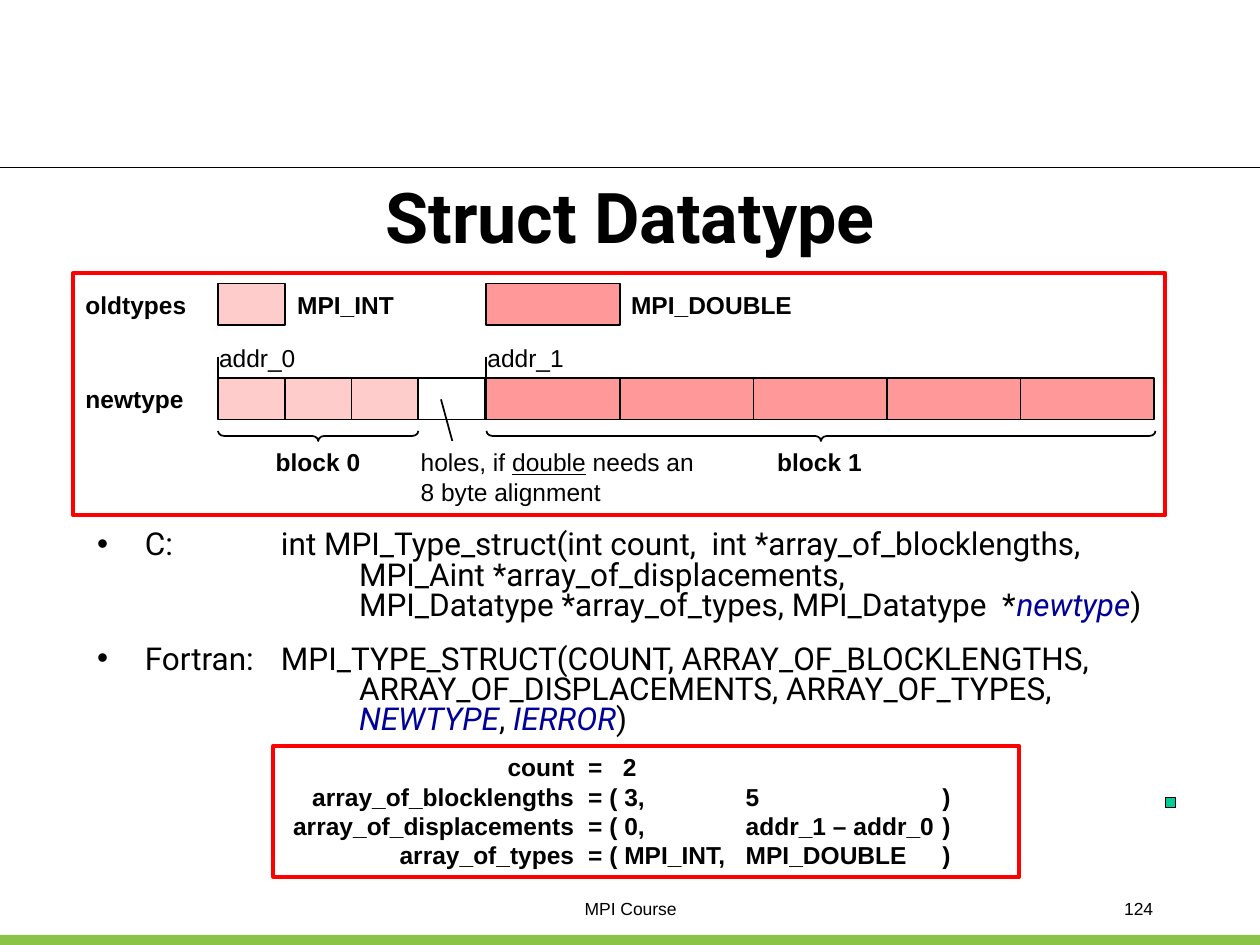
"""Build the Struct Datatype slide of an MPI course."""
from lxml import etree
from pptx import Presentation
from pptx import util as u
from pptx.dml.color import RGBColor
from pptx.enum import shapes, text
from pptx.oxml.ns import qn

rgb = RGBColor.from_string
I = u.Inches
AL = text.PP_ALIGN
SHAPE = shapes.MSO_SHAPE


def draw(kind, at, fill=None, line=None, width=1):
    sp = s.shapes.add_shape(kind, *map(I, at))
    sp.shadow.inherit = False
    if fill:
        sp.fill.solid()
        sp.fill.fore_color.rgb = rgb(fill)
    else:
        sp.fill.background()
    if line:
        sp.line.color.rgb = rgb(line)
        sp.line.width = u.Pt(width)
    else:
        sp.line.fill.background()
    return sp


def write(p, runs, size, name="Arial", tabs=(), **base):
    if tabs:
        lst = etree.SubElement(p._p.get_or_add_pPr(), qn("a:tabLst"))
        for pos, algn in tabs:
            etree.SubElement(lst, qn("a:tab"), pos=str(I(pos)), algn=algn)
    for words, extra in runs:
        for i, part in enumerate(words.split("\n")):
            if i:
                p.add_line_break()
            r = p.add_run()
            r.text = part
            fmt = {"size": u.Pt(size), "name": name, **base, **extra}
            r.font.color.rgb = rgb(fmt.pop("color", "000000"))
            for key, value in fmt.items():
                setattr(r.font, key, value)


prs = Presentation()
prs.slide_width, prs.slide_height = I(10), I(7.5)
s = prs.slides.add_slide(prs.slide_layouts[1])
title, body = s.placeholders[0], s.placeholders[1]

draw(SHAPE.RECTANGLE, (0, 7.42, 10, 0.08), "89C448")

for ph, at in ((title, (0.75, 1.42, 8.5, 0.58)), (body, (0.67, 4.17, 8.85, 1.75))):
    ph.left, ph.top, ph.width, ph.height = map(I, at)
    ph.text_frame.auto_size = text.MSO_AUTO_SIZE.NONE
title.text_frame.vertical_anchor = text.MSO_ANCHOR.MIDDLE
p = title.text_frame.paragraphs[0]
p.alignment = AL.CENTER
write(p, [("Struct Datatype", {})], 40, "Roboto", bold=True)

left, row, cell, height = 1.73, 3, 0.53, 0.33
double_left, double = 3.86, 1.06
pink, rose = "FFCCCC", "FF9999"
cells = [(left, 2.25, cell, pink), (double_left, 2.25, double, rose)]
cells += [(left + i * cell, row, cell, pink) for i in range(3)]
cells += [(3.32, row, cell, "FFFFFF")]
cells += [(double_left + i * double, row, double, rose) for i in range(5)]
for x, y, w, fill in cells:
    draw(SHAPE.RECTANGLE, (x, y, w, height), fill, "000000")

for x, w in ((left, 1.59), (double_left, 5.31)):
    sp = draw(SHAPE.RIGHT_BRACE, (x + w / 2 - 0.04, 3.46 - w / 2, 0.08, w), None, "000000")
    sp.rotation = 90
    sp.adjustments[0] = 0.6

lines = [
    (0, 1.33, 10, 1.33, 0.75),
    (3.59, 3.5, 3.5, 3.17, 1),
    (left, 2.83, left, row, 1),
    (double_left, 2.83, double_left, row, 1),
]
for *ends, width in lines:
    ln = s.shapes.add_connector(shapes.MSO_CONNECTOR.STRAIGHT, *map(I, ends))
    ln.line.color.rgb = rgb("000000")
    ln.line.width = u.Pt(width)
    etree.SubElement(ln._element.spPr, qn("a:effectLst"))

bold = {"bold": True}
holes = [("holes, if ", {}), ("double", {"underline": True}), (" needs an 8 byte alignment", {})]
labels = [
    ((0.58, 2.25, 1, 0.34), [("oldtypes", bold)], 14, AL.LEFT, False),
    ((0.58, 3, 0.98, 0.34), [("newtype", bold)], 14, AL.LEFT, False),
    ((2.26, 2.25, 0.97, 0.34), [("MPI_INT", bold)], 14, AL.LEFT, False),
    ((4.91, 2.25, 1.48, 0.34), [("MPI_DOUBLE", bold)], 14, AL.LEFT, False),
    ((1.64, 2.67, 0.97, 0.34), [("addr_0", {})], 14, AL.LEFT, True),
    ((3.77, 2.67, 0.97, 0.34), [("addr_1", {})], 14, AL.LEFT, True),
    ((2.09, 3.5, 0.97, 0.34), [("block 0", bold)], 14, AL.LEFT, True),
    ((6.07, 3.5, 0.97, 0.34), [("block 1", bold)], 14, AL.LEFT, True),
    ((3.24, 3.5, 2.39, 0.57), holes, 14, AL.LEFT, True),
    ((3.17, 7.08, 3.67, 0.25), [("MPI Course", {})], 10, AL.CENTER, True),
    ((7.17, 7.08, 2.08, 0.25), [("124", {})], 10, AL.RIGHT, True),
]
for at, runs, size, align, wrap in labels:
    tf = s.shapes.add_textbox(*map(I, at)).text_frame
    tf.word_wrap = wrap
    p = tf.paragraphs[0]
    p.alignment = align
    write(p, runs, size)

draw(SHAPE.RECTANGLE, (0.58, 2.17, 8.67, 1.92), None, "FF0000", 2.25)

blue = {"color": "000099", "italic": True}
bindings = [
    (4.5, [
        ("C:\tint MPI_Type_struct(int count,  int *array_of_blocklengths,\n"
         "\t\tMPI_Aint *array_of_displacements,\n"
         "\t\tMPI_Datatype *array_of_types, MPI_Datatype  *", {}),
        ("newtype", blue), (")", {})]),
    (13.5, [
        ("Fortran:\tMPI_TYPE_STRUCT(COUNT, ARRAY_OF_BLOCKLENGTHS,\n"
         "\t\tARRAY_OF_DISPLACEMENTS, ARRAY_OF_TYPES,\n\t\t", {}),
        ("NEWTYPE", blue), (", ", {}), ("IERROR", blue), (")", {})]),
]
tf = body.text_frame
tf.margin_right = I(0.04)
for i, (before, runs) in enumerate(bindings):
    p = tf.add_paragraph() if i else tf.paragraphs[0]
    p.line_spacing = 0.8
    p.space_before = u.Pt(before if i else 0)
    pPr = p._p.get_or_add_pPr()
    pPr.set("marL", str(I(0.38)))
    pPr.set("indent", str(I(-0.38)))
    color = etree.SubElement(pPr, qn("a:buClr"))
    etree.SubElement(color, qn("a:srgbClr"), val="000000")
    etree.SubElement(pPr, qn("a:buChar"), char="•")
    write(p, runs, 18, "Roboto", [(1.46, "l"), (2.08, "l")])

sp = draw(SHAPE.RECTANGLE, (2.17, 5.92, 5.92, 1.04), "FFFFFF", "FF0000", 2.25)
tf = sp.text_frame
tf.word_wrap = True
tf.vertical_anchor = text.MSO_ANCHOR.TOP
arguments = [
    "\tcount\t=   2",
    "\tarray_of_blocklengths\t= ( 3,\t5\t)",
    "\tarray_of_displacements\t= ( 0,\taddr_1 – addr_0\t)",
    "\tarray_of_types\t= ( MPI_INT,\tMPI_DOUBLE\t)",
]
stops = [(2.29, "r"), (2.4, "l"), (3.65, "l"), (5.21, "l")]
for i, words in enumerate(arguments):
    p = tf.add_paragraph() if i else tf.paragraphs[0]
    p.alignment = AL.LEFT
    write(p, [(words, {})], 14, tabs=stops, bold=True)

draw(SHAPE.RECTANGLE, (9.25, 6.33, 0.08, 0.08), "00CC99", "000000")

prs.save("out.pptx")
